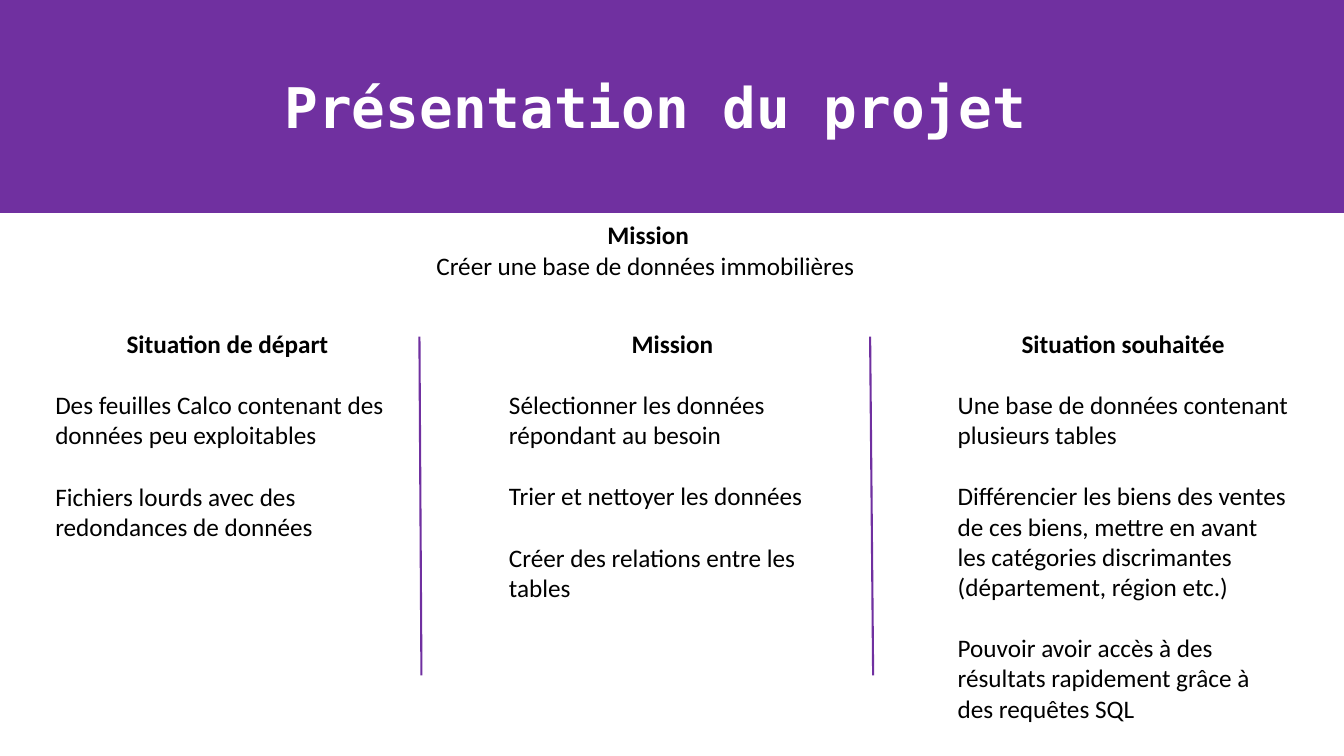
from dataclasses import dataclass

from lxml import etree
from pptx import Presentation
from pptx.dml.color import RGBColor
from pptx.enum import shapes, text
from pptx.oxml.ns import qn
from pptx.util import Inches, Pt


@dataclass(frozen=True)
class Theme:
    purple: RGBColor = RGBColor(0x70, 0x30, 0xA0)
    white: RGBColor = RGBColor(0xFF, 0xFF, 0xFF)
    black: RGBColor = RGBColor(0, 0, 0)
    title_font: str = "DejaVu Sans Mono"
    body_font: str = "Calibri"
    title_size: int = 40
    body_size: int = 18
    paragraph_gap: int = 22
    banner_line: float = 1
    divider_line: float = 1.5


THEME = Theme()
SLIDE_WIDTH, SLIDE_HEIGHT = 13.33, 7.5
COLUMN_TOP = 3.21
DIVIDER_TOP, DIVIDER_BOTTOM = 3.34, 6.7

# left, width, height, heading, points
COLUMNS = [
    (0.45, 3.67, 2.22, "Situation de départ ", [
        "Des feuilles Calco contenant des données peu exploitables",
        "Fichiers lourds avec des redondances de données",
    ]),
    (4.95, 3.44, 2.83, "Mission", [
        "Sélectionner les données répondant au besoin",
        "Trier et nettoyer les données",
        "Créer des relations entre les tables",
    ]),
    (9.4, 3.48, 4.04, "Situation souhaitée", [
        "Une base de données contenant plusieurs tables",
        "Différencier les biens des ventes de ces biens, mettre en avant "
        "les catégories discrimantes (département, région etc.)",
        "Pouvoir avoir accès à des résultats rapidement grâce à des requêtes SQL",
    ]),
]
DIVIDERS = [(4.16, 4.18), (8.63, 8.66)]


def write(paragraph, words, font, size, color, bold=False, centred=False):
    paragraph.text = words
    paragraph.alignment = text.PP_ALIGN.CENTER if centred else text.PP_ALIGN.LEFT
    for run in paragraph.runs:
        run.font.name = font
        run.font.size = Pt(size)
        run.font.color.rgb = color
        run.font.bold = bold


def write_body(paragraph, words, **style):
    write(paragraph, words, THEME.body_font, THEME.body_size, THEME.black, **style)


def add_banner(slide, left, top, width, height, title):
    banner = slide.shapes.add_shape(
        shapes.MSO_SHAPE.RECTANGLE,
        Inches(left), Inches(top), Inches(width), Inches(height))
    banner.shadow.inherit = False
    banner.fill.solid()
    banner.fill.fore_color.rgb = THEME.purple
    banner.line.color.rgb = THEME.purple
    banner.line.width = Pt(THEME.banner_line)
    banner.text_frame.vertical_anchor = text.MSO_ANCHOR.MIDDLE
    write(banner.text_frame.paragraphs[0], title, THEME.title_font,
          THEME.title_size, THEME.white, bold=True, centred=True)


def add_headed_text(slide, left, top, width, height, heading, wrap=True):
    """Add a text box opened by a bold centred heading; return its frame."""
    frame = slide.shapes.add_textbox(
        Inches(left), Inches(top), Inches(width), Inches(height)).text_frame
    frame.word_wrap = wrap
    frame.auto_size = text.MSO_AUTO_SIZE.SHAPE_TO_FIT_TEXT
    write_body(frame.paragraphs[0], heading, bold=True, centred=True)
    return frame


def add_mission(slide, left, top, width, height):
    frame = add_headed_text(slide, left, top, width, height, "Mission", wrap=False)
    write_body(frame.add_paragraph(), "Créer une base de données immobilières ",
               centred=True)


def add_column(slide, left, top, width, height, heading, points):
    frame = add_headed_text(slide, left, top, width, height, heading)
    for point in points:
        paragraph = frame.add_paragraph()
        write_body(paragraph, point)
        paragraph.space_before = Pt(THEME.paragraph_gap)


def add_divider(slide, start_x, start_y, end_x, end_y):
    divider = slide.shapes.add_connector(
        shapes.MSO_CONNECTOR.STRAIGHT,
        Inches(start_x), Inches(start_y), Inches(end_x), Inches(end_y))
    divider.line.color.rgb = THEME.purple
    divider.line.width = Pt(THEME.divider_line)
    etree.SubElement(divider._element.spPr, qn("a:effectLst"))


def main():
    deck = Presentation()
    deck.slide_width, deck.slide_height = Inches(SLIDE_WIDTH), Inches(SLIDE_HEIGHT)
    slide = deck.slides.add_slide(deck.slide_layouts[6])

    add_banner(slide, 0, 0, SLIDE_WIDTH, 2.11, "Présentation du projet ")
    add_mission(slide, 4.2, 2.13, 4.46, 0.71)
    for left, width, height, heading, points in COLUMNS:
        add_column(slide, left, COLUMN_TOP, width, height, heading, points)
    for top_x, bottom_x in DIVIDERS:
        add_divider(slide, top_x, DIVIDER_TOP, bottom_x, DIVIDER_BOTTOM)

    deck.save("out.pptx")


if __name__ == "__main__":
    main()
